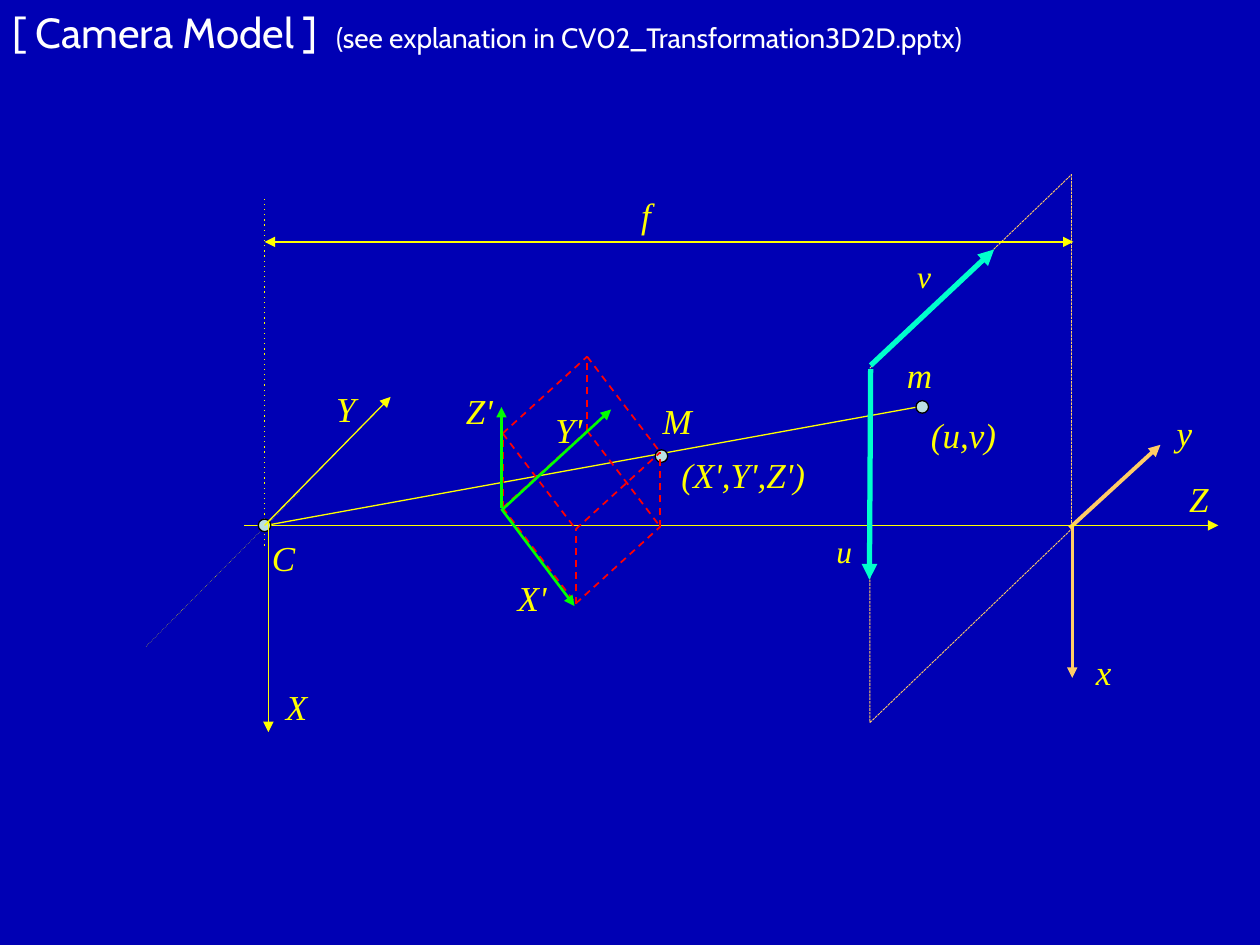
import itertools

import pptx
import pptx.dml.color
import pptx.enum.shapes
import pptx.enum.text
import pptx.oxml.ns
import pptx.oxml.xmlchemy
import pptx.util
import lxml.etree

Inches = pptx.util.Inches
Pt = pptx.util.Pt
SHAPE = pptx.enum.shapes.MSO_SHAPE

COLORS = {
    "background": "0000B4", "white": "FFFFFF", "black": "000000",
    "yellow": "FFFF00", "orange": "FFCC66", "red": "FF0000",
    "green": "00FF00", "cyan": "00FFCC", "point": "BBE0E3",
}


def rgb(name):
    return pptx.dml.color.RGBColor.from_string(COLORS[name])


def add_xml(parent, tag, **attrs):
    return lxml.etree.SubElement(parent, pptx.oxml.ns.qn(tag), attrs)


class Diagram:
    """Holds the slide and draws each kind of element in its style."""

    math_font = "Times New Roman"
    title_font = "Cabin"

    def __init__(self, slide):
        self.slide = slide
        fill = slide.background.fill
        fill.solid()
        fill.fore_color.rgb = rgb("background")

    def stroke(self, line, color, width, dash=None, head=False, tail=False):
        line.color.rgb = rgb(color)
        line.width = Pt(width)
        ln = line._get_or_add_ln()
        if dash:
            add_xml(ln, "a:prstDash", val=dash)
        if head:
            add_xml(ln, "a:headEnd", type="triangle")
        if tail:
            add_xml(ln, "a:tailEnd", type="triangle")

    def line(self, start, end, color="yellow", width=0.75, **ends):
        points = [Inches(v) for v in (*start, *end)]
        c = self.slide.shapes.add_connector(
            pptx.enum.shapes.MSO_CONNECTOR.STRAIGHT, *points)
        self.stroke(c.line, color, width, **ends)
        add_xml(c._element.spPr, "a:effectLst")
        return c

    def arrow(self, start, end, color="yellow", width=0.75, **ends):
        return self.line(start, end, color, width, tail=True, **ends)

    def shape(self, kind, x, y, w, h):
        sp = self.slide.shapes.add_shape(
            kind, Inches(x), Inches(y), Inches(w), Inches(h))
        sp.shadow.inherit = False
        return sp

    def point(self, x, y, size=0.1):
        sp = self.shape(SHAPE.OVAL, x, y, size, size)
        sp.fill.solid()
        sp.fill.fore_color.rgb = rgb("point")
        self.stroke(sp.line, "black", 0.75)

    def image_plane(self, x, y, w, h):
        sp = self.shape(SHAPE.PARALLELOGRAM, x, y, w, h)
        sp.adjustments[0] = 0.96
        sp.rotation = 90
        sp._element.spPr.xfrm.set("flipH", "1")
        sp.fill.background()
        self.stroke(sp.line, "orange", 0.5, dash="sysDash")

    def text(self, x, y, w, h, runs, font, color, italic=False, wrap=True):
        tf = self.slide.shapes.add_textbox(
            Inches(x), Inches(y), Inches(w), Inches(h)).text_frame
        tf.word_wrap = wrap
        tf.auto_size = pptx.enum.text.MSO_AUTO_SIZE.SHAPE_TO_FIT_TEXT
        p = tf.paragraphs[0]
        for content, size in runs:
            r = p.add_run()
            r.text = content
            r.font.size = Pt(size)
            r.font.name = font
            r.font.italic = italic
            r.font.color.rgb = rgb(color)
        return p

    def label(self, content, x, y, w=0.43, h=0.43, size=20, wrap=True):
        self.text(x, y, w, h, [(content, size)], self.math_font, "yellow",
                  italic=True, wrap=wrap)

    def title(self, heading, note, note_left):
        p = self.text(0, 0, 8.26, 0.5, [(heading + "\t", 24), (note, 16)],
                      self.title_font, "white", wrap=False)
        tabs = add_xml(p._p.get_or_add_pPr(), "a:tabLst")
        add_xml(tabs, "a:tab", pos=str(Inches(note_left)), algn="l")

    def box(self, origin, *edges):
        """Draw the 12 dashed edges of a box spanned by three vectors."""
        for i, edge in enumerate(edges):
            others = edges[:i] + edges[i + 1:]
            for m, n in itertools.product((0, 1), repeat=2):
                start = [o + m * a + n * b
                         for o, a, b in zip(origin, *others)]
                end = [s + e for s, e in zip(start, edge)]
                self.line(start, end, "red", 1, dash="dash")


def main():
    prs = pptx.Presentation()
    prs.slide_width, prs.slide_height = Inches(10), Inches(7.5)
    d = Diagram(prs.slides.add_slide(prs.slide_layouts[6]))

    # Image axes x and y
    d.arrow((8.51, 4.16), (8.51, 5.38), "orange", 1.5)
    d.arrow((8.49, 4.19), (9.21, 3.53), "orange", 2.25)
    d.label("y", 9.24, 3.22)
    d.label("x", 8.6, 5.11)

    # Projection ray, optical axis and guides through the camera centre
    d.line((2.11, 4.17), (7.34, 3.22))
    d.line((2.1, 4.33), (2.1, 1.58), dash="dot")
    d.arrow((1.94, 4.17), (9.67, 4.17))
    d.line((2.38, 3.9), (1.16, 5.13), width=0.25, dash="dot")
    d.label("Y", 2.57, 3.03)
    d.label("X", 2.17, 5.39)
    d.label("Z", 9.34, 3.74)
    d.label("(u,v)", 7.29, 3.23, 0.93)
    d.label("f", 4.99, 1.49, 0.28, wrap=False)

    # Image plane, camera centre and focal length
    d.image_plane(5.53, 2.76, 4.35, 1.6)
    d.point(2.05, 4.12)
    d.label("C", 2.06, 4.21)
    d.arrow((2.1, 1.92), (8.52, 1.92), head=True)

    # World point M and its box
    d.label("M", 5.16, 3.12, 0.45)
    d.point(5.2, 3.57)
    d.label("(X',Y',Z')", 5.31, 3.55, 1.27)
    d.box((3.99, 4.03), (0.58, 0.76), (0.67, -0.61), (0, -0.59))

    # World axes X', Y', Z'
    for start, end in (((3.98, 4.05), (4.85, 3.25)),
                       ((3.98, 4.04), (4.56, 4.81)),
                       ((3.98, 4.03), (3.98, 3.23))):
        d.arrow(start, end, "green", 1.5)
    d.label("Y'", 4.31, 3.19)
    d.label("Z'", 3.6, 3.04, 0.47)
    d.label("X'", 4.01, 4.53, 0.48)

    # Image point m
    d.point(7.27, 3.18)
    d.label("m", 7.1, 2.76)

    # Pixel axes u and v
    d.slide.shapes.add_group_shape([
        d.arrow((6.91, 2.9), (7.89, 1.98), "cyan", 3),
        d.arrow((6.91, 2.93), (6.9, 4.6), "cyan", 3),
    ])

    # Title
    d.title("[ Camera Model ]",
            "(see explanation in CV02_Transformation3D2D.pptx)", 2.57)
    d.label("u", 6.54, 4.17, 0.35, 0.4, size=18, wrap=False)
    d.label("v", 7.18, 1.99, 0.33, 0.4, size=18, wrap=False)

    # Camera axes X and Y
    d.arrow((2.13, 4.14), (2.13, 5.81))
    d.arrow((2.1, 4.17), (3.1, 3.15))

    prs.save("out.pptx")


if __name__ == "__main__":
    main()
